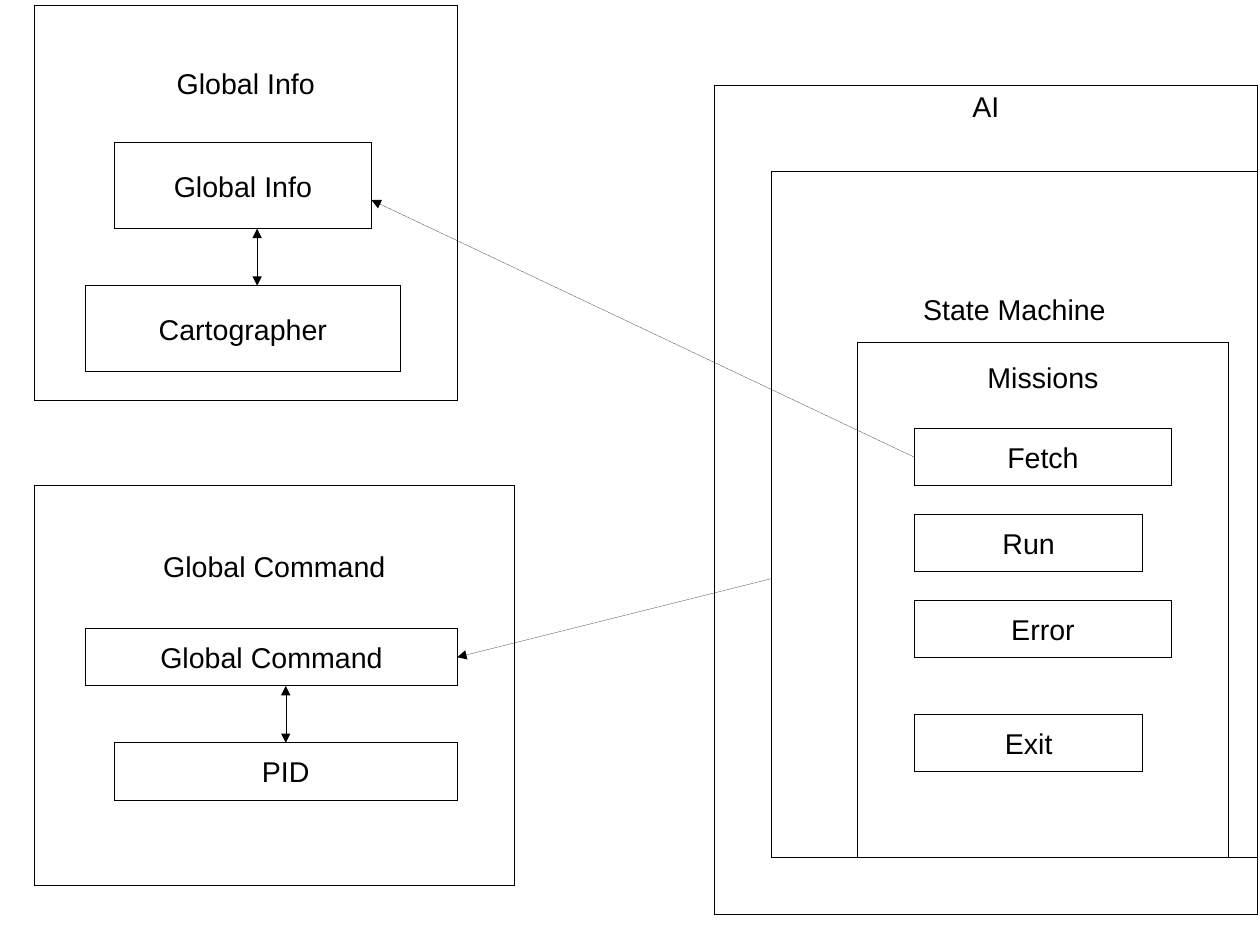
from dataclasses import dataclass
from typing import Optional

import pptx
import pptx.dml.color
import pptx.enum.shapes
import pptx.enum.text
import pptx.oxml
import pptx.oxml.ns
import pptx.shapes.autoshape
import pptx.shapes.connector
import pptx.slide
import pptx.util

BLACK = pptx.dml.color.RGBColor(0x00, 0x00, 0x00)
WHITE = pptx.dml.color.RGBColor(0xFF, 0xFF, 0xFF)
FONT = "Arial"
GRID_CM = 2.54 / 4  # the diagram sits on a quarter-inch grid
TOP, LEFT, RIGHT = 0, 1, 3  # connection sites of a rectangle


@dataclass(frozen=True)
class Box:
    """A labelled rectangle in grid steps; a group has its label near the top."""
    label: str
    left: float
    top: float
    width: float
    height: float
    label_drop: Optional[float] = None


@dataclass(frozen=True)
class Link:
    """An arrow in grid steps, joined to boxes where it meets a side's middle."""
    start: tuple[float, float]
    end: tuple[float, float]
    both_ways: bool = False
    start_join: Optional[tuple[Box, int]] = None
    end_join: Optional[tuple[Box, int]] = None


# Boxes that links are joined to
global_command = Box("Global Command", 3, 22, 13, 2)
pid = Box("PID", 4, 26, 12, 2)
fetch = Box("Fetch", 32, 15, 9, 2)

# Back to front: groups come before the components inside them
BOXES = [
    Box("Global Info", 1.2, 0.2, 14.8, 13.8, 2.12),
    Box("Global Info", 4, 5, 9, 3),
    Box("Cartographer", 3, 10, 11, 3),
    Box("Global Command", 1.2, 17, 16.8, 14, 2.2),
    global_command,
    pid,
    Box("AI", 25, 3, 19, 29, 0.12),
    Box("State Machine", 27, 6, 17, 24, 4.22),
    Box("Missions", 30, 12, 13, 18, 0.6),
    fetch,
    Box("Run", 32, 18, 8, 2),
    Box("Error", 32, 21, 9, 2),
    Box("Exit", 32, 25, 8, 2),
]

LINKS = [
    # State Machine to Global Command
    Link((27, 20.25), (16, 23), end_join=(global_command, RIGHT)),
    # Global Command and PID
    Link((10, 24), (10, 26), both_ways=True, end_join=(pid, TOP)),
    # Global Info and Cartographer
    Link((9, 8), (9, 10), both_ways=True),
    # Fetch to Global Info
    Link((32, 16), (13, 7), start_join=(fetch, LEFT)),
]


def grid(steps: float) -> pptx.util.Length:
    return pptx.util.Cm(steps * GRID_CM)


def draw_hairline(
    item: pptx.shapes.autoshape.Shape | pptx.shapes.connector.Connector,
) -> None:
    item.line.color.rgb = BLACK
    # A width of zero has to be written out to override the theme's width
    item.element.spPr.find(pptx.oxml.ns.qn("a:ln")).set("w", "0")


def draw_box(slide: pptx.slide.Slide, box: Box) -> pptx.shapes.autoshape.Shape:
    shape = slide.shapes.add_shape(
        pptx.enum.shapes.MSO_SHAPE.RECTANGLE,
        grid(box.left), grid(box.top), grid(box.width), grid(box.height))
    shape.shadow.inherit = False
    shape.fill.solid()
    shape.fill.fore_color.rgb = WHITE
    draw_hairline(shape)

    frame = shape.text_frame
    frame.word_wrap = True
    frame.vertical_anchor = pptx.enum.text.MSO_ANCHOR.MIDDLE
    if box.label_drop is not None:
        frame.vertical_anchor = pptx.enum.text.MSO_ANCHOR.TOP
        frame.margin_top = grid(box.label_drop)
    frame.text = box.label
    label = frame.paragraphs[0]
    label.alignment = pptx.enum.text.PP_ALIGN.CENTER
    font = label.runs[0].font
    font.name = FONT
    font.size = pptx.util.Pt(18)
    font.color.rgb = BLACK
    return shape


def draw_link(
    slide: pptx.slide.Slide,
    link: Link,
    shapes: dict[Box, pptx.shapes.autoshape.Shape],
) -> None:
    arrow = slide.shapes.add_connector(
        pptx.enum.shapes.MSO_CONNECTOR.STRAIGHT,
        *(grid(steps) for steps in link.start + link.end))
    draw_hairline(arrow)

    # Arrowheads, and no shadow
    properties = arrow.element.spPr
    outline = properties.find(pptx.oxml.ns.qn("a:ln"))
    namespace = pptx.oxml.ns.nsdecls("a")
    for tag in ["a:headEnd", "a:tailEnd"] if link.both_ways else ["a:tailEnd"]:
        outline.append(pptx.oxml.parse_xml(f'<{tag} {namespace} type="triangle"/>'))
    properties.append(pptx.oxml.parse_xml(f"<a:effectLst {namespace}/>"))

    # Joins
    if link.start_join:
        box, side = link.start_join
        arrow.begin_connect(shapes[box], side)
    if link.end_join:
        box, side = link.end_join
        arrow.end_connect(shapes[box], side)


def main() -> None:
    presentation = pptx.Presentation()
    presentation.slide_width = pptx.util.Cm(28)
    presentation.slide_height = pptx.util.Cm(21)
    slide = presentation.slides.add_slide(presentation.slide_layouts[6])

    shapes = {box: draw_box(slide, box) for box in BOXES}
    for link in LINKS:
        draw_link(slide, link, shapes)

    presentation.save("out.pptx")


if __name__ == "__main__":
    main()
